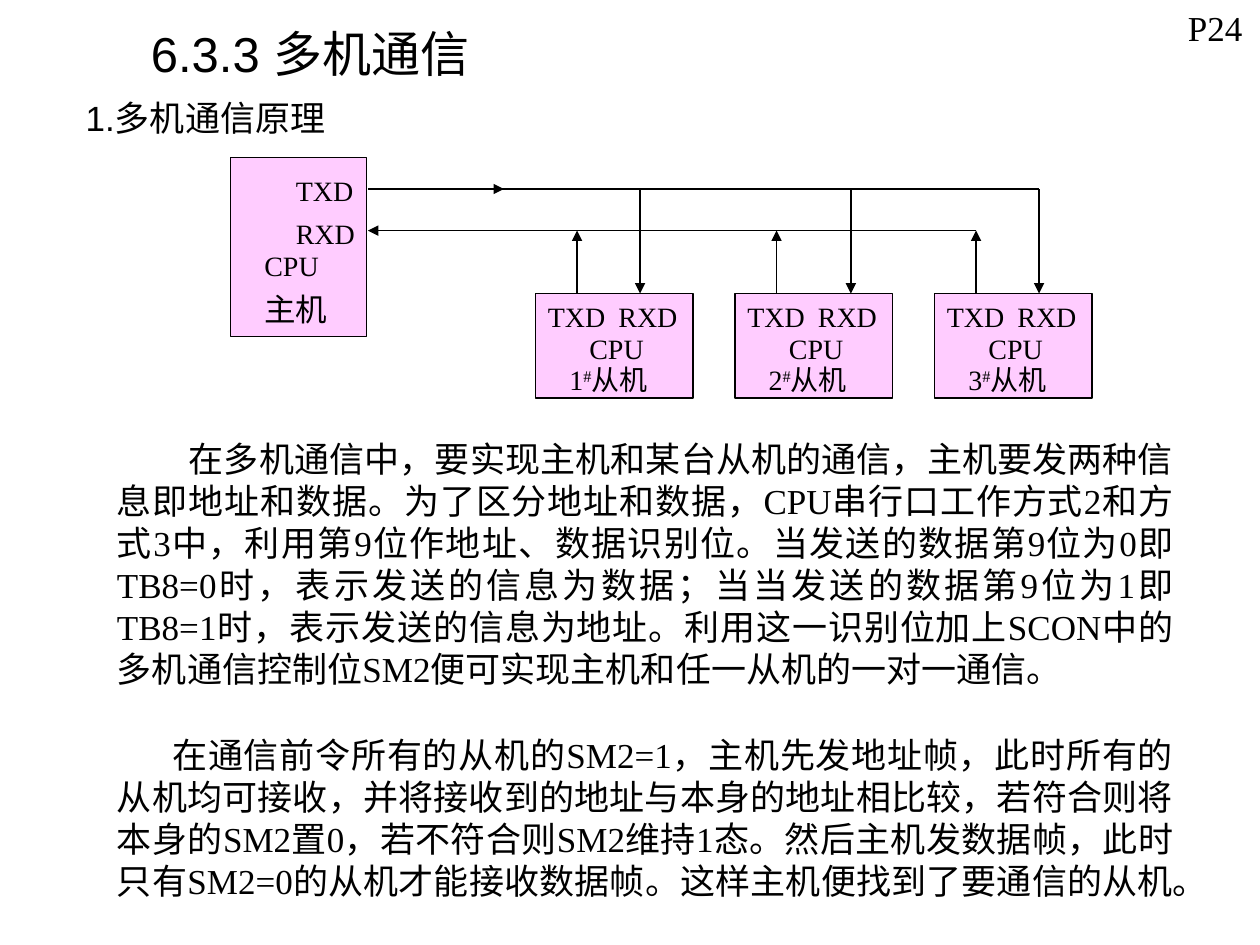
from pptx import Presentation
from pptx.dml.color import RGBColor
from pptx.enum.shapes import MSO_CONNECTOR, MSO_SHAPE
from pptx.enum.text import MSO_ANCHOR, MSO_AUTO_SIZE, PP_ALIGN
from pptx.oxml.ns import qn
from pptx.util import Inches, Pt
from lxml.etree import SubElement

BLACK = RGBColor(0x00, 0x00, 0x00)
PINK = RGBColor(0xFF, 0xCC, 0xFF)
SERIF = "Times New Roman"
SANS = "Arial"

SEND_Y = 1.5
RECEIVE_Y = 1.83
SLAVE_TOP = 2.33
MASTER_RIGHT = 2.92
SLAVE_LEFT = 4.25
SLAVE_PITCH = 19 / 12
DROP_OFFSETS = (0.83, 0.92, 0.83)

BODY = (
    (0.57, "在多机通信中，要实现主机和某台从机的通信，主机要发两种信息即地址和数据。"
     "为了区分地址和数据，CPU串行口工作方式2和方式3中，利用第9位作地址、数据识别位。"
     "当发送的数据第9位为0即TB8=0时，表示发送的信息为数据；"
     "当当发送的数据第9位为1即TB8=1时，表示发送的信息为地址。"
     "利用这一识别位加上SCON中的多机通信控制位SM2便可实现主机和任一从机的一对一通信。"),
    (0.44, "在通信前令所有的从机的SM2=1，主机先发地址帧，此时所有的从机均可接收，"
     "并将接收到的地址与本身的地址相比较，若符合则将本身的SM2置0，若不符合则SM2维持1态。"
     "然后主机发数据帧，此时只有SM2=0的从机才能接收数据帧。"
     "这样主机便找到了要通信的从机。"),
)


def place(shape, left, top, width, height):
    """Move and size a shape, in inches."""
    shape.left, shape.top = Inches(left), Inches(top)
    shape.width, shape.height = Inches(width), Inches(height)


def style(font, size, name=SERIF):
    """Set the size, typeface and colour of a font."""
    font.size = Pt(size)
    font.name = name
    font.color.rgb = BLACK


def fill_placeholder(box, text, size, area):
    """Write one line of text into a moved placeholder."""
    place(box, *area)
    frame = box.text_frame
    frame.text = text
    frame.word_wrap = True
    frame.auto_size = MSO_AUTO_SIZE.NONE
    para = frame.paragraphs[0]
    para.space_before = Pt(0)
    style(para.runs[0].font, size, SANS)
    return para


def add_title(page):
    """Fill the title placeholder."""
    para = fill_placeholder(page.shapes.title, "6.3.3 多机通信", 28, (0.75, 0.17, 3.42, 0.5))
    para.alignment = PP_ALIGN.CENTER
    page.shapes.title.text_frame.vertical_anchor = MSO_ANCHOR.MIDDLE


def add_subtitle(page):
    """Fill the body placeholder with an unbulleted heading."""
    para = fill_placeholder(page.placeholders[1], "1.多机通信原理", 20, (0.58, 0.75, 7.92, 0.42))
    para.line_spacing = 0.9
    properties = para._p.get_or_add_pPr()
    properties.set("marL", str(Inches(0.38)))
    properties.set("indent", str(Inches(-0.38)))
    SubElement(properties, qn("a:buNone"))


def add_label(page, text, left, top, width, size=16, height=0.37):
    """Add a text box with one line and return its paragraph."""
    box = page.shapes.add_textbox(Inches(left), Inches(top), Inches(width), Inches(height))
    box.text_frame.word_wrap = True
    para = box.text_frame.paragraphs[0]
    para.text = text
    for span in para.runs:
        style(span.font, size)
    return para


def add_block(page, left, top, width, height):
    """Add a pink rectangle with a thin black outline."""
    block = page.shapes.add_shape(MSO_SHAPE.RECTANGLE, 0, 0, 0, 0)
    place(block, left, top, width, height)
    block.shadow.inherit = False
    block.fill.solid()
    block.fill.fore_color.rgb = PINK
    block.line.color.rgb = BLACK
    block.line.width = Pt(0.75)


def add_wire(page, start, end, arrow=True):
    """Add a straight black line, with an arrowhead at its end if wanted."""
    points = [Inches(value) for value in (*start, *end)]
    wire = page.shapes.add_connector(MSO_CONNECTOR.STRAIGHT, *points)
    wire.line.color.rgb = BLACK
    wire.line.width = Pt(0.75)
    if arrow:
        SubElement(wire.line._get_or_add_ln(), qn("a:tailEnd"), type="triangle")
    SubElement(wire._element.spPr, qn("a:effectLst"))


def add_master(page):
    """Draw the master station and its labels."""
    add_block(page, 1.83, 1.25, 1.08, 1.42)
    add_label(page, "TXD", 2.25, 1.33, 0.75)
    add_label(page, "RXD", 2.25, 1.67, 0.83)
    add_label(page, "CPU", 2, 1.92, 0.75)
    add_label(page, "主机", 2, 2.25, 0.75, 18, 0.4)


def add_slave(page, number, left):
    """Draw one slave station and its labels."""
    add_block(page, left, SLAVE_TOP, 1.25, 0.83)
    pins = add_label(page, "TXD\tRXD", left, SLAVE_TOP, 1.25)
    tabs = SubElement(pins._p.get_or_add_pPr(), qn("a:tabLst"))
    SubElement(tabs, qn("a:tab"), pos=str(Inches(0.56)), algn="l")
    add_label(page, "CPU", left + 0.33, SLAVE_TOP + 0.25, 0.67)
    name = add_label(page, str(number), left + 0.17, SLAVE_TOP + 0.5, 1)
    for text in ("#", "从机"):
        span = name.add_run()
        span.text = text
        style(span.font, 16)
    name.runs[1]._r.get_or_add_rPr().set("baseline", "30000")


def add_bus(page, lefts):
    """Draw the send and receive lines and their branches to the slaves."""
    drops = [left + offset for left, offset in zip(lefts, DROP_OFFSETS)]
    risers = [left + 0.33 for left in lefts]
    add_wire(page, (MASTER_RIGHT, SEND_Y), (drops[-1], SEND_Y), arrow=False)
    add_wire(page, (3.42, SEND_Y), (4, SEND_Y))
    add_wire(page, (risers[-1], RECEIVE_Y), (MASTER_RIGHT, RECEIVE_Y))
    for drop, riser in zip(drops, risers):
        add_wire(page, (drop, SEND_Y), (drop, SLAVE_TOP))
        add_wire(page, (riser, SLAVE_TOP), (riser, RECEIVE_Y))


def add_explanation(page):
    """Add the justified paragraphs below the diagram."""
    box = page.shapes.add_textbox(Inches(0.83), Inches(3.42), Inches(8.58), Inches(4.45))
    frame = box.text_frame
    frame.word_wrap = True
    frame.text = "\n".join(text for _, text in BODY)
    for index, (para, (indent, _)) in enumerate(zip(frame.paragraphs, BODY)):
        para.alignment = PP_ALIGN.JUSTIFY
        para.space_before = Pt(25 if index else 0)
        para._p.get_or_add_pPr().set("indent", str(Inches(indent)))
        style(para.runs[0].font, 20)


def main():
    """Build the slide and save it."""
    deck = Presentation()
    deck.slide_width, deck.slide_height = Inches(10), Inches(7.5)
    page = deck.slides.add_slide(deck.slide_layouts[1])
    add_title(page)
    add_subtitle(page)
    add_master(page)
    lefts = [SLAVE_LEFT + index * SLAVE_PITCH for index in range(len(DROP_OFFSETS))]
    for number, left in enumerate(lefts, start=1):
        add_slave(page, number, left)
    add_bus(page, lefts)
    add_explanation(page)
    add_label(page, "P24", 9.33, 0, 0.83, 20, 0.44)
    deck.save("out.pptx")


if __name__ == "__main__":
    main()
